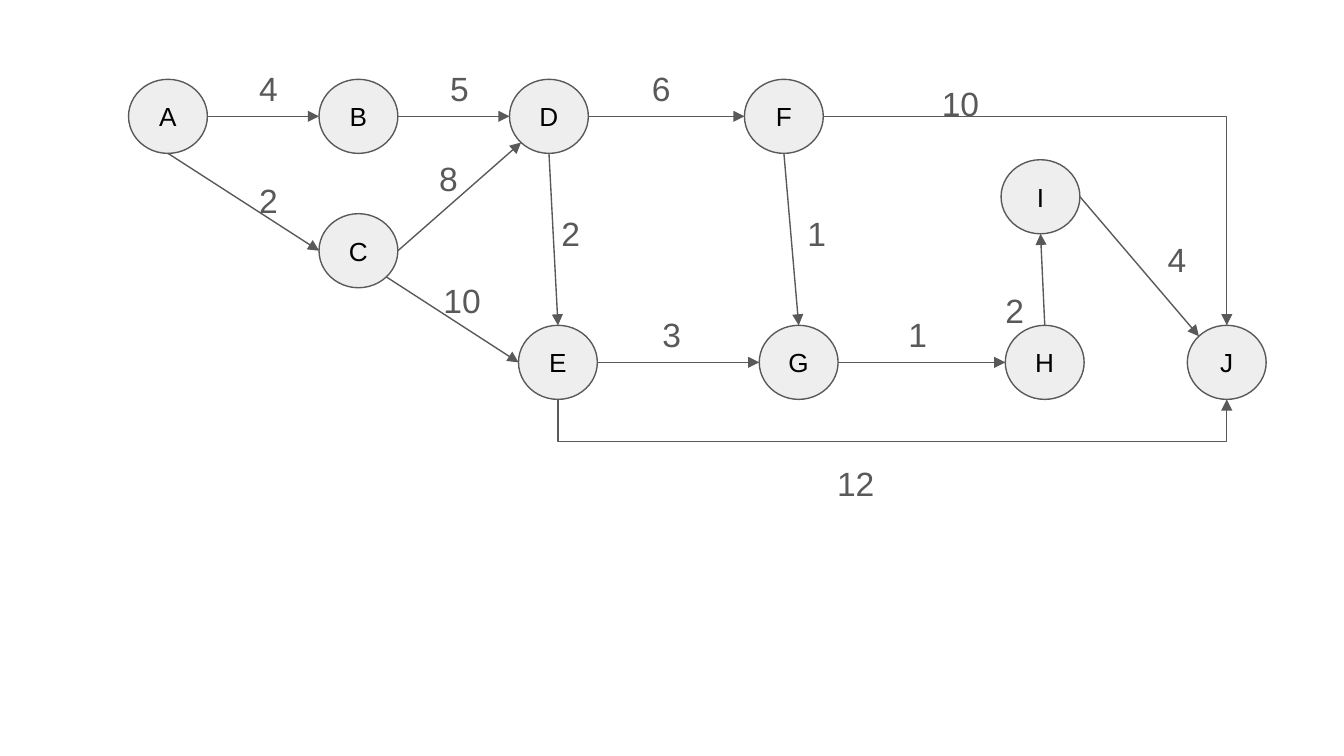
from enum import IntEnum
from math import cos, radians, sin

from pptx import Presentation
from pptx.dml.color import RGBColor
from pptx.enum.shapes import MSO_CONNECTOR as Link, MSO_SHAPE as Preset
from pptx.enum.text import MSO_ANCHOR as Anchor, PP_ALIGN as Align
from pptx.oxml import parse_xml
from pptx.oxml.ns import nsdecls, qn
from pptx.util import Cm, Pt
from lxml.etree import SubElement

NODE_FILL = RGBColor(0xEE, 0xEE, 0xEE)
GREY = RGBColor(0x59, 0x59, 0x59)
BLACK = RGBColor(0, 0, 0)
FONT = "Arial"
NODE_WIDTH, NODE_HEIGHT = 1.49, 1.4
TOP_ROW, BOTTOM_ROW = 1.5, 6.15
DETOUR_DEPTH = 0.66


class Site(IntEnum):
    """Connection sites of an ellipse, counter-clockwise from the top."""
    TOP = 0
    LEFT = 2
    BOTTOM_LEFT = 3
    BOTTOM = 4
    BOTTOM_RIGHT = 5
    RIGHT = 6
    TOP_LEFT = 1


NODES = {
    "A": (2.43, TOP_ROW), "B": (6.03, TOP_ROW), "C": (6.03, 4.04),
    "D": (9.63, TOP_ROW), "E": (9.8, BOTTOM_ROW), "F": (14.07, TOP_ROW),
    "G": (14.35, BOTTOM_ROW), "H": (19, BOTTOM_ROW), "I": (18.92, 3.02),
    "J": (22.44, BOTTOM_ROW),
}

# start, its site, end, its site, weight, left and top of the weight
STRAIGHT_EDGES = [
    ("A", Site.RIGHT, "B", Site.LEFT, "4", 4.65, 1.04),
    ("A", Site.BOTTOM, "C", Site.LEFT, "2", 4.65, 3.15),
    ("B", Site.RIGHT, "D", Site.LEFT, "5", 8.26, 1.04),
    ("C", Site.RIGHT, "D", Site.BOTTOM_LEFT, "8", 8.05, 2.74),
    ("C", Site.BOTTOM_RIGHT, "E", Site.LEFT, "10", 8.13, 5.05),
    ("D", Site.BOTTOM, "E", Site.TOP, "2", 10.36, 3.78),
    ("D", Site.RIGHT, "F", Site.LEFT, "6", 12.07, 1.04),
    ("E", Site.RIGHT, "G", Site.LEFT, "3", 12.27, 5.69),
    ("F", Site.BOTTOM, "G", Site.TOP, "1", 15.01, 3.78),
    ("G", Site.RIGHT, "H", Site.LEFT, "1", 16.92, 5.69),
    ("H", Site.TOP, "I", Site.BOTTOM, "2", 18.75, 5.23),
    ("I", Site.RIGHT, "J", Site.TOP_LEFT, "4", 21.82, 4.27),
]


def format_text(frame, size, color, align):
    frame.margin_left = frame.margin_right = Cm(0.25)
    frame.margin_top = frame.margin_bottom = Cm(0.25)
    frame.word_wrap = True
    paragraph = frame.paragraphs[0]
    paragraph.alignment = align
    font = paragraph.runs[0].font
    font.name, font.size, font.color.rgb = FONT, Pt(size), color


def add_node(slide, name, left, top):
    node = slide.shapes.add_shape(
        Preset.OVAL, Cm(left), Cm(top), Cm(NODE_WIDTH), Cm(NODE_HEIGHT))
    node.shadow.inherit = False
    node.fill.solid()
    node.fill.fore_color.rgb = NODE_FILL
    node.line.color.rgb = GREY
    node.line.width = Pt(0.75)
    node.text_frame.text = name
    node.text_frame.vertical_anchor = Anchor.MIDDLE
    format_text(node.text_frame, 14, BLACK, Align.CENTER)
    return node


def add_weight(slide, weight, left, top):
    width = 0.64 if len(weight) == 1 else 1.7
    label = slide.shapes.add_textbox(Cm(left), Cm(top), Cm(width), Cm(0.53))
    label.text_frame.text = weight
    label.text_frame.vertical_anchor = Anchor.TOP
    format_text(label.text_frame, 18, GREY, Align.LEFT)


def site_point(node, site):
    angle = radians(90 + 45 * site)
    return (int(node.left + node.width / 2 * (1 + cos(angle))),
            int(node.top + node.height / 2 * (1 - sin(angle))))


def add_arrow(slide, start, start_site, end, end_site, kind=Link.STRAIGHT):
    """Draw an arrow between two sites and glue it to both nodes."""
    arrow = slide.shapes.add_connector(
        kind, *site_point(start, start_site), *site_point(end, end_site))
    arrow.line.color.rgb = GREY
    arrow.line.width = Pt(0.75)
    SubElement(arrow.line._get_or_add_ln(), qn("a:tailEnd"), type="triangle")
    properties = arrow._element.spPr
    SubElement(properties, qn("a:effectLst"))
    glue = arrow._element.find(".//" + qn("p:cNvCxnSpPr"))
    for tag, node, site in (("a:stCxn", start, start_site),
                            ("a:endCxn", end, end_site)):
        SubElement(glue, qn(tag), id=str(node.shape_id), idx=str(int(site)))
    return arrow


def bend_once(arrow):
    arrow._element.spPr.find(qn("a:prstGeom")).set("prst", "bentConnector2")


def bend_below(arrow, depth):
    """Turn a level elbow arrow into a U that dips by depth."""
    span, thickness = arrow.width, 600
    arrow.left += (span - thickness) // 2
    arrow.top -= span // 2
    arrow.width, arrow.height = thickness, span
    properties = arrow._element.spPr
    frame = properties.find(qn("a:xfrm"))
    frame.set("rot", "16200000")
    frame.set("flipH", "1")
    geometry = properties.find(qn("a:prstGeom"))
    for adjustments in geometry.findall(qn("a:avLst")):
        geometry.remove(adjustments)
    ratio = int(depth / thickness * 100000)
    geometry.append(parse_xml(
        f'<a:avLst {nsdecls("a")}><a:gd name="adj1" fmla="val {ratio}"/></a:avLst>'))


def main():
    deck = Presentation()
    deck.slide_width, deck.slide_height = Cm(25.4), Cm(14.29)
    slide = deck.slides.add_slide(deck.slide_layouts[6])

    nodes = {name: add_node(slide, name, *place) for name, place in NODES.items()}
    for start, start_site, end, end_site, weight, left, top in STRAIGHT_EDGES:
        add_arrow(slide, nodes[start], start_site, nodes[end], end_site)
        add_weight(slide, weight, left, top)

    bend_below(add_arrow(slide, nodes["E"], Site.BOTTOM, nodes["J"], Site.BOTTOM,
                         Link.ELBOW), Cm(DETOUR_DEPTH))
    add_weight(slide, "12", 15.57, 8.51)
    bend_once(add_arrow(slide, nodes["F"], Site.RIGHT, nodes["J"], Site.TOP,
                        Link.ELBOW))
    add_weight(slide, "10", 17.55, 1.32)

    deck.save("out.pptx")


if __name__ == "__main__":
    main()
